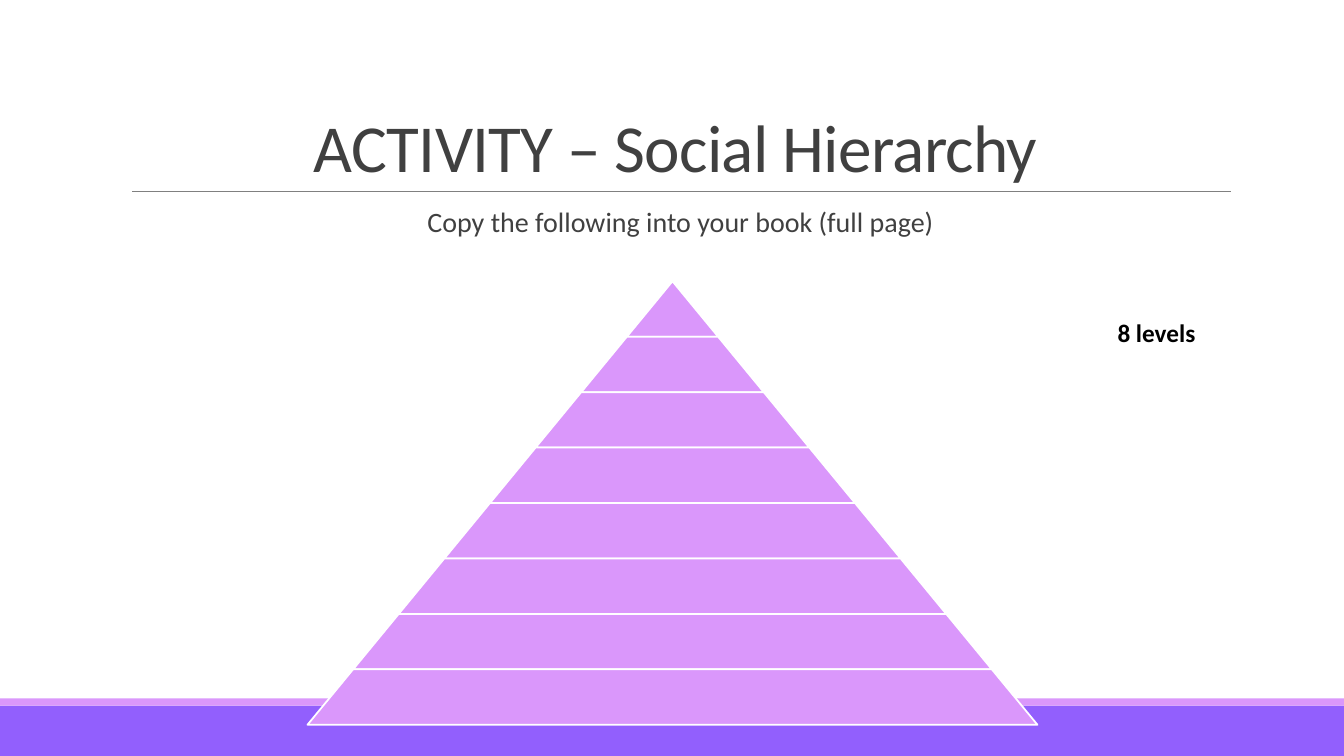
from pptx import Presentation
from pptx.dml.color import RGBColor
from pptx.enum.shapes import MSO_CONNECTOR, MSO_SHAPE
from pptx.enum.text import MSO_ANCHOR, PP_ALIGN
from pptx.oxml.ns import qn
from pptx.util import Inches, Pt

RECTANGLE = MSO_SHAPE.RECTANGLE
TRAPEZOID = MSO_SHAPE.TRAPEZOID
STRAIGHT = MSO_CONNECTOR.STRAIGHT
TOP, BOTTOM = MSO_ANCHOR.TOP, MSO_ANCHOR.BOTTOM
CENTER = PP_ALIGN.CENTER

PAGE_WIDTH, PAGE_HEIGHT = 13.33, 7.5
FONT = "Calibri"
VIOLET, LILAC, WHITE = "925FFD", "DA97FB", "FFFFFF"
GREY, DARK, BLACK = "808080", "404040", "000000"
LEVELS = 8


def color(value):
    return RGBColor.from_string(value)


def add_block(shapes, kind, box, fill, line=None):
    block = shapes.add_shape(kind, *map(Inches, box))
    block.shadow.inherit = False
    block.fill.solid()
    block.fill.fore_color.rgb = color(fill)
    if line:
        block.line.color.rgb = color(line)
        block.line.width = Pt(1.25)
    else:
        block.line.fill.background()
    return block


def add_text(page, box, text, text_color, font, anchor=TOP, side_inset=0.1,
             line_spacing=1.0):
    frame = page.shapes.add_textbox(*map(Inches, box)).text_frame
    frame.word_wrap = True
    frame.vertical_anchor = anchor
    frame.margin_left = frame.margin_right = Inches(side_inset)
    para = frame.paragraphs[0]
    para.alignment = CENTER
    para.line_spacing = line_spacing
    span = para.add_run()
    span.text = text
    for name, value in {"name": FONT, **font}.items():
        setattr(span.font, name, value)
    span.font.color.rgb = color(text_color)
    return para


def add_footer_bands(page, box):
    left, top, width, height = box
    strip = 0.07
    add_block(page.shapes, RECTANGLE, (left, top + strip, width, height - strip), VIOLET)
    add_block(page.shapes, RECTANGLE, (left, top, width, strip), LILAC)


def add_heading(page, box):
    left, top, width, height = box
    rule_y = top + height
    # Rule under the title
    rule = page.shapes.add_connector(
        STRAIGHT, Inches(left + 0.11), Inches(rule_y),
        Inches(left + width + 0.01), Inches(rule_y))
    rule.line.color.rgb = color(GREY)
    rule.line.width = Pt(0.5)
    properties = rule._element.spPr
    properties.append(properties.makeelement(qn("a:effectLst"), {}))
    # Title with tightened letters
    title = add_text(page, box, "ACTIVITY – Social Hierarchy", DARK,
                     {"size": Pt(48)}, BOTTOM, line_spacing=0.85)
    title.runs[0]._r.get_or_add_rPr().set("spc", "-50")
    # Instruction
    instruction = add_text(page, (left, rule_y + 0.12, width, 0.5),
                           "Copy the following into your book (full page)", DARK,
                           {"size": Pt(20)}, side_inset=0, line_spacing=0.9)
    instruction._p.get_or_add_pPr().set("marL", str(Inches(0.1)))


def add_pyramid(page, box):
    left, top, width, height = box
    group = page.shapes.add_group_shape()
    level_height = height / LEVELS
    slope = width / 2 / height
    for level in range(LEVELS):
        level_width = width * (level + 1) / LEVELS
        level_box = (left + (width - level_width) / 2, top + level * level_height,
                     level_width, level_height)
        block = add_block(group.shapes, TRAPEZOID, level_box, LILAC, WHITE)
        block.adjustments[0] = slope


def main():
    deck = Presentation()
    deck.slide_width, deck.slide_height = Inches(PAGE_WIDTH), Inches(PAGE_HEIGHT)
    page = deck.slides.add_slide(deck.slide_layouts[6])
    add_footer_bands(page, (0, 6.93, PAGE_WIDTH, 0.57))
    add_heading(page, (1.2, 0.31, 11, 1.59))
    add_pyramid(page, (3.05, 2.79, 7.24, 4.4))
    add_text(page, (10.29, 3.1, 2.36, 0.4), "8 levels", BLACK,
             {"size": Pt(18), "bold": True})
    deck.save("out.pptx")


if __name__ == "__main__":
    main()
